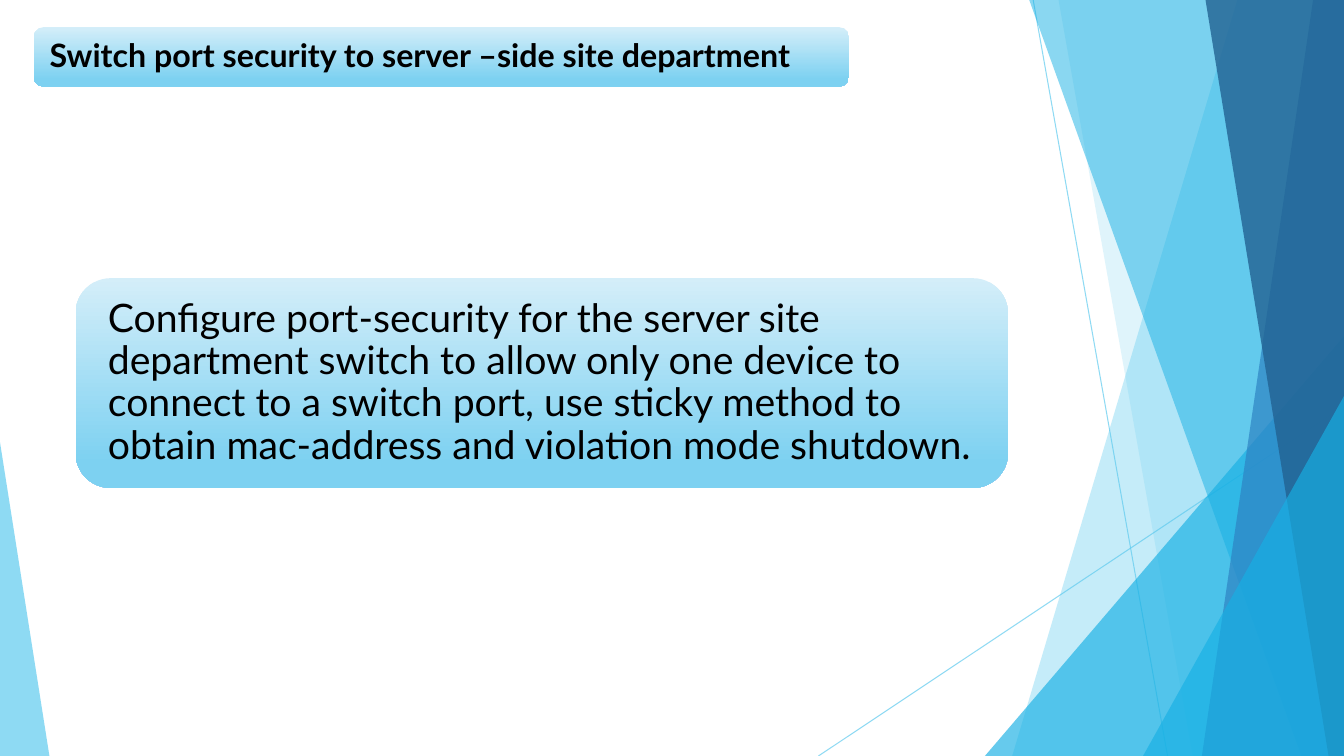
from lxml.etree import SubElement
from pptx import Presentation
from pptx.dml.color import RGBColor
from pptx.enum.shapes import MSO_CONNECTOR, MSO_SHAPE
from pptx.enum.text import MSO_ANCHOR, PP_ALIGN
from pptx.oxml.ns import qn
from pptx.util import Pt

WIDTH, HEIGHT = 960, 540
PANEL_TOP = -0.6
BLACK = RGBColor(0x00, 0x00, 0x00)
SKY = RGBColor(0x5F, 0xCB, 0xEF)
CYAN = RGBColor(0x17, 0xB0, 0xE4)
BLUE = RGBColor(0x2E, 0x83, 0xC3)
NAVY = RGBColor(0x22, 0x62, 0x92)
PALE = RGBColor(0xD4, 0xEE, 0xF9)
AQUA = RGBColor(0x7D, 0xD1, 0xF1)


class SlideBuilder:
    font = "Lato"

    def __init__(self, page):
        self.page = page

    def set_opacity(self, shape, percent):
        for color in shape.element.spPr.iter(qn("a:srgbClr")):
            SubElement(color, qn("a:alpha"), val=str(percent * 1000))

    def tint(self, shape, color, opacity):
        """Give a borderless shape a translucent fill."""
        shape.shadow.inherit = False
        shape.fill.solid()
        shape.fill.fore_color.rgb = color
        shape.line.fill.background()
        self.set_opacity(shape, opacity)

    def thin_line(self, x1, y1, x2, y2):
        line = self.page.shapes.add_connector(
            MSO_CONNECTOR.STRAIGHT, Pt(x1), Pt(y1), Pt(x2), Pt(y2))
        line.line.color.rgb = SKY
        line.line.width = Pt(0.75)
        self.set_opacity(line, 70)
        SubElement(line.element.spPr, qn("a:effectLst"))

    def panel(self, top_left, bottom_left, color, opacity):
        """Fill from a slanted left edge to the right side of the slide."""
        outline = self.page.shapes.build_freeform(Pt(top_left), Pt(PANEL_TOP))
        outline.add_line_segments([
            (Pt(WIDTH), Pt(PANEL_TOP)),
            (Pt(WIDTH), Pt(HEIGHT)),
            (Pt(bottom_left), Pt(HEIGHT)),
        ])
        self.tint(outline.convert_to_shape(), color, opacity)

    def corner_triangle(self, left, top, width, apex, color, opacity):
        """Stand a triangle on the bottom edge of the slide."""
        triangle = self.page.shapes.add_shape(
            MSO_SHAPE.ISOSCELES_TRIANGLE, Pt(left), Pt(top), Pt(width), Pt(HEIGHT - top))
        triangle.adjustments[0] = apex
        self.tint(triangle, color, opacity)

    def text_card(self, text, left, top, width, height, inset, size, bold=False):
        card = self.page.shapes.add_shape(
            MSO_SHAPE.ROUNDED_RECTANGLE, Pt(left), Pt(top), Pt(width), Pt(height))
        card.shadow.inherit = False
        card.line.fill.background()
        card.fill.gradient()
        card.fill.gradient_angle = 270
        for stop, position, color in zip(card.fill.gradient_stops, (0, 0.88), (PALE, AQUA)):
            stop.position = position
            stop.color.rgb = color

        frame = card.text_frame
        frame.word_wrap = True
        frame.vertical_anchor = MSO_ANCHOR.MIDDLE
        frame.margin_left = frame.margin_right = Pt(inset)
        frame.margin_top = frame.margin_bottom = Pt(inset)
        frame.text = text
        para = frame.paragraphs[0]
        para.alignment = PP_ALIGN.LEFT
        para.line_spacing = 0.9
        for span in para.runs:
            span.font.name = self.font
            span.font.size = Pt(size)
            span.font.bold = bold
            span.font.color.rgb = BLACK


def main():
    deck = Presentation()
    deck.slide_width, deck.slide_height = Pt(WIDTH), Pt(HEIGHT)
    builder = SlideBuilder(deck.slides.add_slide(deck.slide_layouts[6]))

    builder.thin_line(738, 0, 834, HEIGHT)
    builder.thin_line(WIDTH, 290, 584.6, HEIGHT)
    builder.panel(884, 723, SKY, 36)
    builder.panel(756, 852, SKY, 20)
    builder.corner_triangle(703.5, 240, 256.5, 1, CYAN, 66)
    builder.panel(735, 929.5, CYAN, 50)
    builder.panel(938, 858.5, BLUE, 70)
    builder.panel(861, 949, NAVY, 80)
    builder.corner_triangle(816.5, 283, 143.5, 1, CYAN, 66)
    builder.corner_triangle(0, 316, 35.3, 0, SKY, 70)

    builder.text_card(
        "Configure port-security for the server site department switch to allow "
        "only one device to connect to a switch port, use sticky method to obtain "
        "mac-address and violation mode shutdown.",
        54, 198.7, 666, 149.8, inset=15.8, size=28)
    builder.text_card(
        "Switch port security to server –side site department",
        24, 19.4, 582.5, 42.5, inset=9.3, size=23, bold=True)

    deck.save("out.pptx")


if __name__ == "__main__":
    main()
